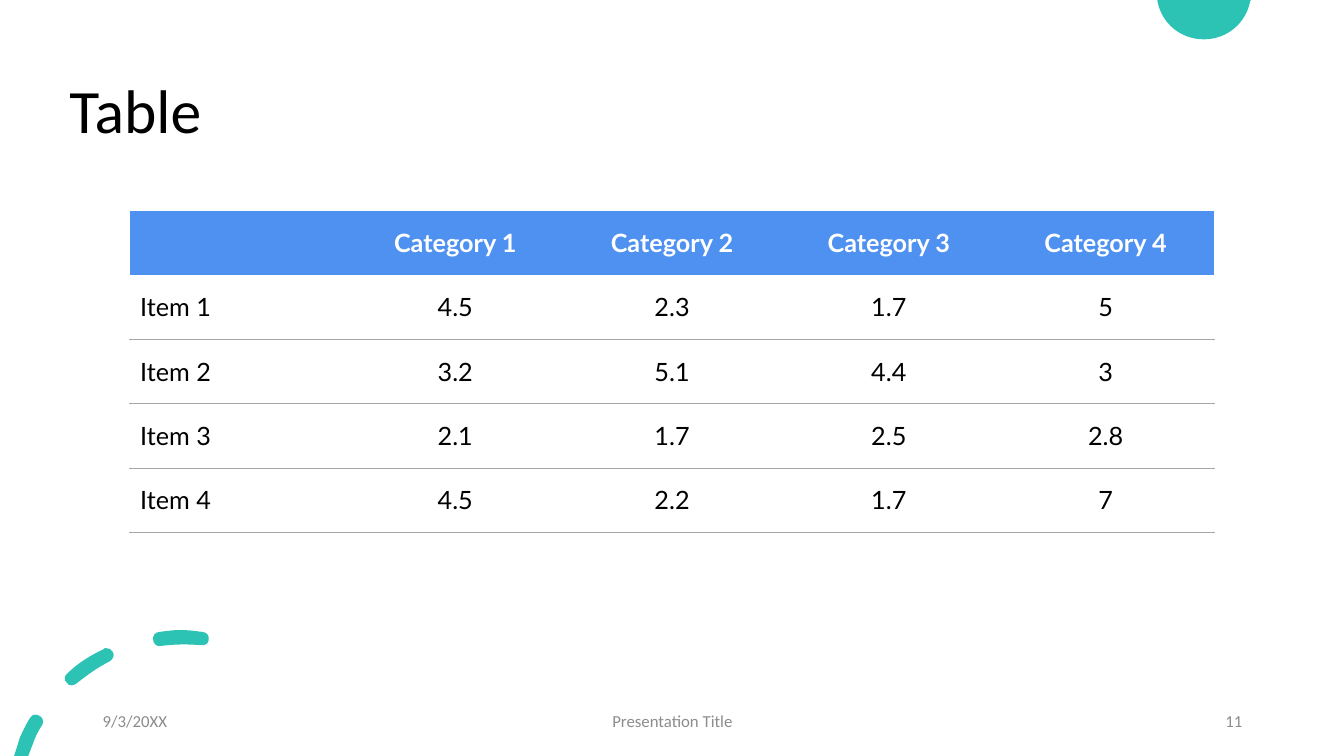
from lxml.etree import SubElement
from pptx import Presentation
from pptx.dml.color import RGBColor
from pptx.enum.text import MSO_ANCHOR, PP_ALIGN
from pptx.oxml.ns import qn
from pptx.util import Inches, Pt

TEAL = RGBColor(0x2C, 0xC3, 0xB4)
BLUE = RGBColor(0x4E, 0x91, 0xF0)
WHITE = RGBColor(0xFF, 0xFF, 0xFF)
BLACK = RGBColor(0, 0, 0)
GRAY = RGBColor(0x8C, 0x8C, 0x8C)
RULE = RGBColor(0xA6, 0xA6, 0xA6)

TITLE = "Table"
ROWS = [
    ("", "Category 1", "Category 2", "Category 3", "Category 4"),
    ("Item 1", "4.5", "2.3", "1.7", "5"),
    ("Item 2", "3.2", "5.1", "4.4", "3"),
    ("Item 3", "2.1", "1.7", "2.5", "2.8"),
    ("Item 4", "4.5", "2.2", "1.7", "7"),
]
FOOTERS = [
    ("9/3/20XX", 0.92, 3, PP_ALIGN.LEFT),
    ("Presentation Title", 4.42, 4.5, PP_ALIGN.CENTER),
    ("11", 9.42, 3, PP_ALIGN.RIGHT),
]
TABLE_LEFT, TABLE_TOP, TABLE_WIDTH, TABLE_HEIGHT = 1.29, 2.09, 10.75, 3.19

HALF_DISC = [
    [(11.48, 0), (12.41, 0), (12.4, 0.01),
     (12.36, 0.23, 12.17, 0.39, 11.94, 0.39),
     (11.71, 0.39, 11.52, 0.23, 11.48, 0.01)],
]
DASHES = [
    [(0.36, 7.09), (0.34, 7.08, 0.31, 7.1, 0.3, 7.12),
     (0.26, 7.18, 0.23, 7.25, 0.2, 7.31), (0.14, 7.5), (0.28, 7.5),
     (0.33, 7.37), (0.35, 7.31, 0.38, 7.25, 0.42, 7.19),
     (0.44, 7.16, 0.42, 7.11, 0.39, 7.1), (0.38, 7.09, 0.37, 7.09, 0.36, 7.09)],
    [(1.05, 6.43), (1.04, 6.43, 1.03, 6.43, 1.03, 6.44),
     (0.9, 6.5, 0.77, 6.58, 0.67, 6.68), (0.64, 6.7, 0.63, 6.75, 0.66, 6.77),
     (0.67, 6.79, 0.69, 6.8, 0.71, 6.8), (0.73, 6.8, 0.74, 6.79, 0.76, 6.78),
     (0.86, 6.7, 0.97, 6.62, 1.09, 6.56), (1.12, 6.54, 1.14, 6.5, 1.12, 6.47),
     (1.11, 6.44, 1.08, 6.43, 1.05, 6.43)],
    [(1.79, 6.25), (1.72, 6.25, 1.65, 6.26, 1.58, 6.27),
     (1.54, 6.27, 1.51, 6.31, 1.52, 6.35), (1.52, 6.38, 1.55, 6.41, 1.58, 6.41),
     (1.73, 6.39, 1.86, 6.39, 1.99, 6.4), (2.03, 6.41, 2.07, 6.38, 2.07, 6.35),
     (2.08, 6.31, 2.05, 6.27, 2.01, 6.27), (1.94, 6.26, 1.86, 6.25, 1.79, 6.25)],
]


def end_point(seg):
    return Inches(seg[-2]), Inches(seg[-1])


def bend(sp, outlines):
    segments = [seg for outline in outlines for seg in outline[1:]]
    for step, seg in zip(list(sp._element.iter(qn("a:lnTo"))), segments):
        if len(seg) == 6:
            step.tag = qn("a:cubicBezTo")
            for k in (0, 2):
                pt = SubElement(step, qn("a:pt"), x=str(Inches(seg[k]) - sp.left),
                                y=str(Inches(seg[k + 1]) - sp.top))
                step.insert(k // 2, pt)


def add_outlines(s, outlines):
    builder = s.shapes.build_freeform(*end_point(outlines[0][0]))
    for i, outline in enumerate(outlines):
        if i:
            builder.move_to(*end_point(outline[0]))
        builder.add_line_segments([end_point(seg) for seg in outline[1:]], close=True)
    sp = builder.convert_to_shape()
    bend(sp, outlines)
    sp.shadow.inherit = False
    sp.fill.solid()
    sp.fill.fore_color.rgb = TEAL
    sp.line.fill.background()


def write(tf, text, size, color, font="Calibri", bold=False,
          align=PP_ALIGN.LEFT, spacing=1.0):
    p = tf.paragraphs[0]
    p.alignment = align
    p.line_spacing = spacing
    r = p.add_run()
    r.text = text
    r.font.size = Pt(size)
    r.font.name = font
    r.font.bold = bold
    r.font.color.rgb = color


def add_text(s, text, left, top, width, height, **fmt):
    sp = s.shapes.add_textbox(Inches(left), Inches(top), Inches(width), Inches(height))
    tf = sp.text_frame
    tf.word_wrap = True
    tf.vertical_anchor = MSO_ANCHOR.MIDDLE
    write(tf, text, **fmt)


def set_border(cell, side, color=None, width=0):
    ln = SubElement(cell._tc.get_or_add_tcPr(), qn("a:ln" + side), w=str(Pt(width)))
    if color is None:
        SubElement(ln, qn("a:noFill"))
    else:
        SubElement(SubElement(ln, qn("a:solidFill")), qn("a:srgbClr"), val=str(color))


def add_data_table(s):
    n_rows, n_cols = len(ROWS), len(ROWS[0])
    table = s.shapes.add_table(
        n_rows, n_cols, Inches(TABLE_LEFT), Inches(TABLE_TOP),
        Inches(TABLE_WIDTH), Inches(TABLE_HEIGHT)).table
    table.horz_banding = False
    for i, row in enumerate(ROWS):
        header = i == 0
        for j, text in enumerate(row):
            cell = table.cell(i, j)
            cell.vertical_anchor = MSO_ANCHOR.MIDDLE
            for side in "LRTB":
                if header or (i == 1 and side == "T"):
                    set_border(cell, side)
                elif side in "LR":
                    set_border(cell, side, WHITE, 1)
                else:
                    set_border(cell, side, RULE, 0.25)
            if header:
                cell.fill.solid()
                cell.fill.fore_color.rgb = BLUE
            else:
                cell.fill.background()
            if text:
                write(cell.text_frame, text, size=18, font="Lato", bold=header,
                      color=WHITE if header else BLACK,
                      align=PP_ALIGN.CENTER if j else PP_ALIGN.LEFT)


def main():
    prs = Presentation()
    prs.slide_width, prs.slide_height = Inches(13.33), Inches(7.5)
    s = prs.slides.add_slide(prs.slide_layouts[6])
    s.background.fill.solid()
    s.background.fill.fore_color.rgb = WHITE
    add_outlines(s, HALF_DISC)
    add_outlines(s, DASHES)
    add_text(s, TITLE, 0.59, 0.4, 11.5, 1.45, size=44, color=BLACK, spacing=0.9)
    add_data_table(s)
    for text, left, width, align in FOOTERS:
        add_text(s, text, left, 6.95, width, 0.4, size=12, color=GRAY, align=align)
    prs.save("out.pptx")


if __name__ == "__main__":
    main()
